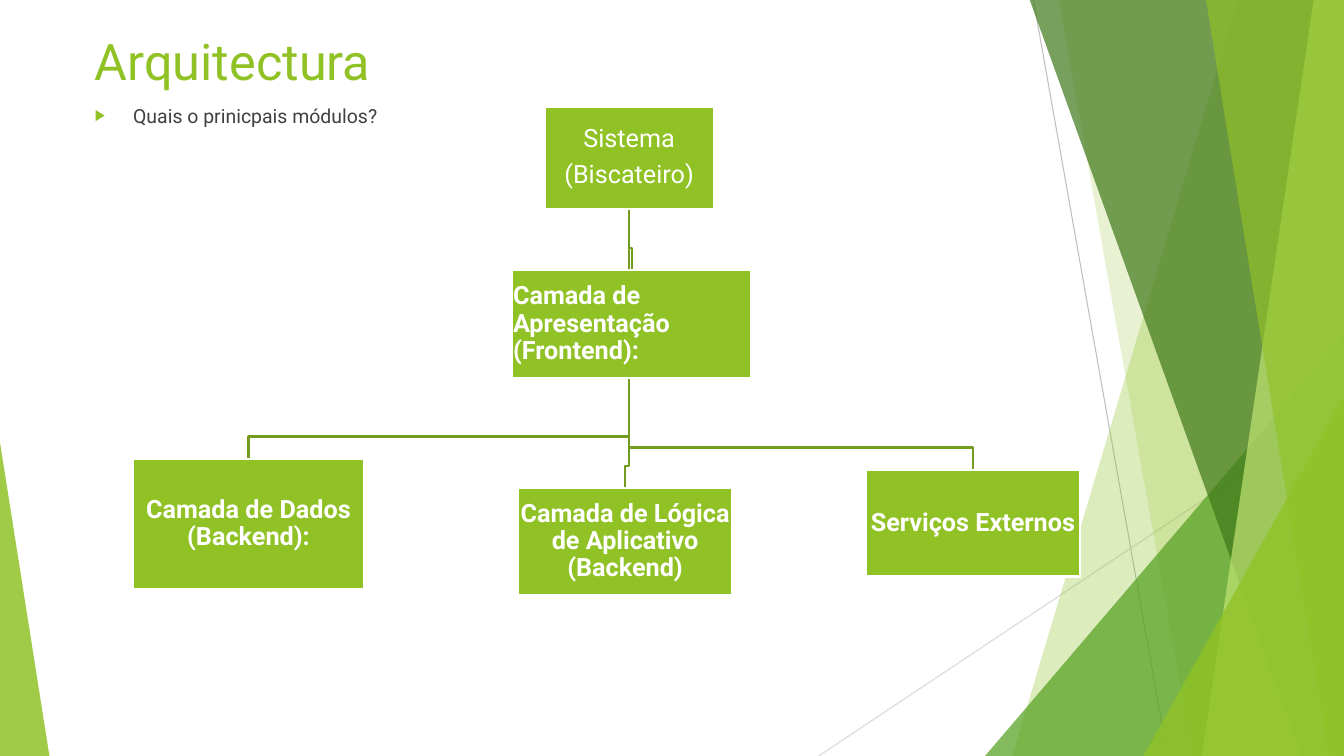
from lxml.etree import SubElement
from pptx import Presentation
from pptx.dml.color import RGBColor
from pptx.enum.shapes import MSO_CONNECTOR, MSO_SHAPE
from pptx.enum.text import MSO_ANCHOR, MSO_AUTO_SIZE, PP_ALIGN
from pptx.oxml.ns import qn
from pptx.util import Inches, Pt

GREEN = "90C226"
WHITE = "FFFFFF"


def paint(fill, color):
    fill.solid()
    fill.fore_color.rgb = RGBColor.from_string(color)


def write(par, text, size, color, bold=False):
    run = par.add_run()
    run.text = text
    run.font.name = "Roboto"
    run.font.size = Pt(size)
    run.font.bold = bold
    paint(run.font.fill, color)


deck = Presentation()
deck.slide_width = Inches(13.33)
deck.slide_height = Inches(7.5)
slide = deck.slides.add_slide(deck.slide_layouts[1])
shapes = slide.shapes

for x1, y1, x2, y2, color in [
    (10.25, 0, 11.58, 7.5, "BFBFBF"),
    (13.33, 4.03, 8.12, 7.5, "D9D9D9"),
]:
    line = shapes.add_connector(
        MSO_CONNECTOR.STRAIGHT, Inches(x1), Inches(y1), Inches(x2), Inches(y2)
    )
    paint(line.line.fill, color)
    line.line.width = Pt(0.75)
    SubElement(line.element.spPr, qn("a:effectLst"))

facets = [
    ("band", (12.28, 10.04), GREEN, 30),
    ("band", (10.5, 11.83), GREEN, 20),
    ("peak", (9.77, 3.33, 3.56, 4.17, 1), "54A021", 72),
    ("band", (10.21, 12.91), "3F7819", 70),
    ("band", (13.03, 11.92), "C0E474", 70),
    ("band", (11.96, 13.18), GREEN, 65),
    ("peak", (11.34, 3.93, 1.99, 3.57, 1), GREEN, 80),
    ("peak", (0, 4.39, 0.49, 3.11, 0), GREEN, 85),
]
for kind, place, color, alpha in facets:
    if kind == "band":
        top, base = place
        path = shapes.build_freeform(Inches(top), Inches(-0.01))
        ends = [(13.33, -0.01), (13.33, 7.5), (base, 7.5)]
        path.add_line_segments([(Inches(x), Inches(y)) for x, y in ends])
        facet = path.convert_to_shape()
    else:
        *box, tip = place
        facet = shapes.add_shape(MSO_SHAPE.ISOSCELES_TRIANGLE, *map(Inches, box))
        facet.adjustments[0] = tip
    facet.shadow.inherit = False
    facet.line.fill.background()
    paint(facet.fill, color)
    tone = facet.element.spPr.find(".//" + qn("a:srgbClr"))
    SubElement(tone, qn("a:alpha"), val=str(alpha * 1000))

title = shapes.title
body = slide.placeholders[1]
for holder, box in [(title, (0.84, 0.25, 9.4, 1.44)), (body, (0.84, 0.98, 6.34, 0.29))]:
    holder.left, holder.top, holder.width, holder.height = map(Inches, box)
    frame = holder.text_frame
    frame.word_wrap = True
    frame.auto_size = MSO_AUTO_SIZE.NONE
    frame.vertical_anchor = MSO_ANCHOR.TOP
    frame.paragraphs[0].alignment = PP_ALIGN.LEFT

write(title.text_frame.paragraphs[0], "Arquitectura", 36, GREEN)
item = body.text_frame.paragraphs[0]
item.space_before = Pt(10)
write(item, "Quais o prinicpais módulos?", 13.9, "404040")
props = item._p.get_or_add_pPr()
props.set("marL", str(Inches(0.38)))
props.set("indent", str(Inches(-0.38)))
SubElement(SubElement(props, qn("a:buClr")), qn("a:srgbClr"), val=GREEN)
SubElement(props, qn("a:buSzPct"), val="80000")
SubElement(props, qn("a:buChar"), char="▶")

root = (5.4, 1.06, 1.68, 1.01, ["Sistema", "(Biscateiro)"])
front = (5.08, 2.68, 2.37, 1.07, ["Camada de Apresentação (Frontend):"])
data = (1.32, 4.55, 2.29, 1.29, ["Camada de Dados (Backend):"])
logic = (5.14, 4.84, 2.12, 1.06, ["Camada de Lógica de Aplicativo (Backend)"])
extra = (8.59, 4.66, 2.12, 1.06, ["Serviços Externos"])

for left, top, width, height, words in [extra, logic, data, front]:
    mid = left + width / 2
    bend = top - 0.22
    path = shapes.build_freeform(Inches(6.24), Inches(2.06))
    ends = [(6.24, bend), (mid, bend), (mid, top)]
    path.add_line_segments([(Inches(x), Inches(y)) for x, y in ends], close=False)
    wire = path.convert_to_shape()
    wire.shadow.inherit = False
    wire.fill.background()
    paint(wire.line.fill, "739B1E")
    wire.line.width = Pt(1.5)

for node in [root, front, data, logic, extra]:
    *box, words = node
    card = shapes.add_shape(MSO_SHAPE.RECTANGLE, *map(Inches, box))
    card.shadow.inherit = False
    paint(card.fill, GREEN)
    paint(card.line.fill, WHITE)
    card.line.width = Pt(1.5)
    frame = card.text_frame
    frame.word_wrap = True
    frame.vertical_anchor = MSO_ANCHOR.MIDDLE
    frame.margin_left = frame.margin_right = Inches(0.01)
    frame.margin_top = frame.margin_bottom = Inches(0.01)
    for index, text in enumerate(words):
        par = frame.add_paragraph() if index else frame.paragraphs[0]
        par.alignment = PP_ALIGN.LEFT if node is front else PP_ALIGN.CENTER
        par.line_spacing = 0.9
        par.space_after = Pt(6.3)
        write(par, text, 18, WHITE, node is not root)

deck.save("out.pptx")
